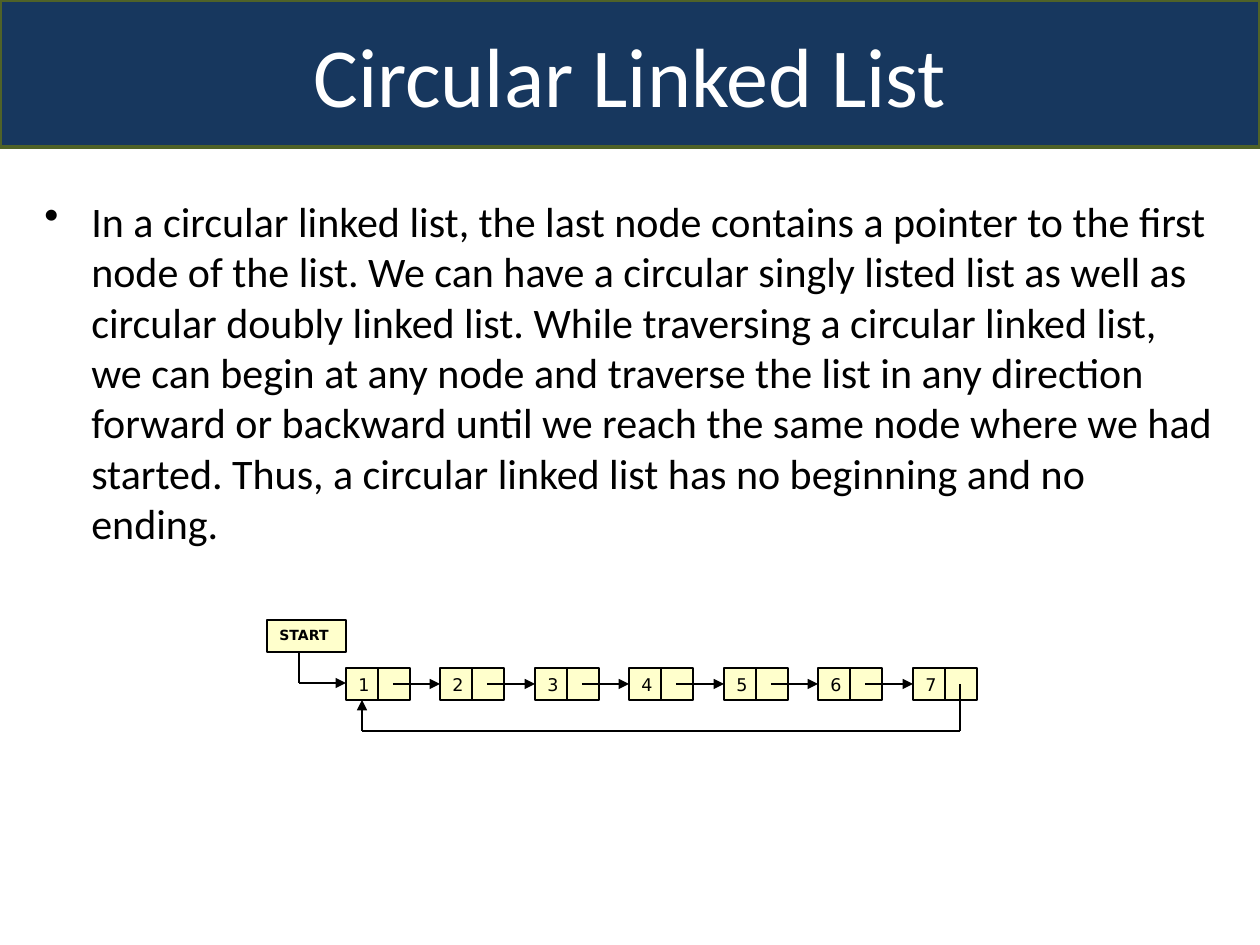
from lxml.etree import SubElement
from pptx import Presentation
from pptx.dml.color import RGBColor
from pptx.enum.shapes import MSO_CONNECTOR as Connector, MSO_SHAPE as Shape
from pptx.enum.text import MSO_ANCHOR as Anchor, MSO_AUTO_SIZE as AutoSize, PP_ALIGN as Align
from pptx.oxml.ns import qn
from pptx.util import Pt

PIXEL = 914400 // 126
NAVY = RGBColor(0x17, 0x37, 0x5E)
OLIVE = RGBColor(0x4F, 0x62, 0x28)
CREAM = RGBColor(0xFF, 0xFF, 0xCC)
WHITE = RGBColor(0xFF, 0xFF, 0xFF)
BLACK = RGBColor(0, 0, 0)

NODE_COUNT = 7
NODE_LEFT, NODE_TOP = 346, 668
CELL = 32
MIDDLE = NODE_TOP + CELL // 2
BODY = (
    "In a circular linked list, the last node contains a pointer to the first node of the list. "
    "We can have a circular singly listed list as well as circular doubly linked list. "
    "While traversing a circular linked list, we can begin at any node and traverse the list "
    "in any direction forward or backward until we reach the same node where we had started. "
    "Thus, a circular linked list has no beginning and no ending."
)


def px(*lengths):
    """Turn pixel lengths into EMU."""
    return [length * PIXEL for length in lengths]


def paint(shape, fill, line, width):
    """Give a shape a solid fill and outline."""
    shape.fill.solid()
    shape.fill.fore_color.rgb = fill
    shape.line.color.rgb = line
    shape.line.width = Pt(width)


def set_font(paragraph, name, size, color, bold=False):
    """Set the font of a whole paragraph."""
    font = paragraph.font
    font.name, font.size, font.bold = name, Pt(size), bold
    font.color.rgb = color


def format_title(slide):
    """Turn the title placeholder into the banner."""
    title = slide.shapes.title
    title.left, title.top, title.width, title.height = px(0, 0, 1260, 147)
    paint(title, NAVY, OLIVE, 2)
    frame = title.text_frame
    frame.text = "Circular Linked List"
    frame.auto_size = AutoSize.NONE
    frame.vertical_anchor = Anchor.MIDDLE
    frame.paragraphs[0].alignment = Align.CENTER
    set_font(frame.paragraphs[0], "Calibri", 48, WHITE)


def add_bullet_text(slide, text):
    """Add the explanation as a bulleted paragraph."""
    frame = slide.shapes.add_textbox(*px(32, 189, 1197, 347)).text_frame
    frame.word_wrap = True
    paragraph = frame.paragraphs[0]
    paragraph.text = text
    paragraph.space_before = Pt(5)
    set_font(paragraph, "Calibri", 24, BLACK)
    properties = paragraph._p.get_or_add_pPr()
    indent = 47 * PIXEL
    properties.set("marL", str(indent))
    properties.set("indent", str(-indent))
    bullet = properties.makeelement(qn("a:buChar"), {"char": "•"})
    properties.find(qn("a:defRPr")).addprevious(bullet)


def add_box(shapes, left, top, width, text="", size=10, bold=False):
    """Add a cream cell, with a label if there is one."""
    box = shapes.add_shape(Shape.RECTANGLE, *px(left, top, width, CELL))
    box.shadow.inherit = False
    paint(box, CREAM, BLACK, 0.75)
    if text:
        frame = box.text_frame
        frame.text = text
        frame.word_wrap = True
        frame.vertical_anchor = Anchor.TOP
        frame.paragraphs[0].alignment = Align.LEFT
        set_font(frame.paragraphs[0], "DejaVu Sans", size, BLACK, bold)


def add_route(shapes, *points):
    """Join points with straight lines, the last one an arrow."""
    for start, end in zip(points, points[1:]):
        line = shapes.add_connector(Connector.STRAIGHT, *px(*start, *end))
        line.line.color.rgb = BLACK
        line.line.width = Pt(0.75)
        properties = line._element.spPr
        if end == points[-1]:
            SubElement(properties.find(qn("a:ln")), qn("a:tailEnd"), type="triangle")
        SubElement(properties, qn("a:effectLst"))


def node_left(index):
    """Return the left edge of a node in the chain."""
    return NODE_LEFT + index * 189 // 2


def add_linked_list(slide):
    """Draw the chain of nodes, its start pointer and its closing link."""
    shapes = slide.shapes.add_group_shape().shapes
    for index in range(NODE_COUNT):
        left = node_left(index)
        add_box(shapes, left, NODE_TOP, CELL, str(index + 1))
        add_box(shapes, left + CELL, NODE_TOP, CELL)
        if index < NODE_COUNT - 1:
            add_route(shapes, (left + 47, MIDDLE), (node_left(index + 1), MIDDLE))
    last, first, bottom = node_left(NODE_COUNT - 1) + 47, NODE_LEFT + CELL // 2, 731
    add_route(shapes, (last, MIDDLE), (last, bottom), (first, bottom), (first, NODE_TOP + CELL))
    add_box(shapes, 267, 620, 79, "START", 8, True)
    add_route(shapes, (299, 652), (299, 683), (NODE_LEFT, 683))


def main():
    """Build and save the slide."""
    presentation = Presentation()
    presentation.slide_width, presentation.slide_height = px(1260, 945)
    slide = presentation.slides.add_slide(presentation.slide_layouts[5])
    format_title(slide)
    add_bullet_text(slide, BODY)
    add_linked_list(slide)
    presentation.save("out.pptx")


main()
